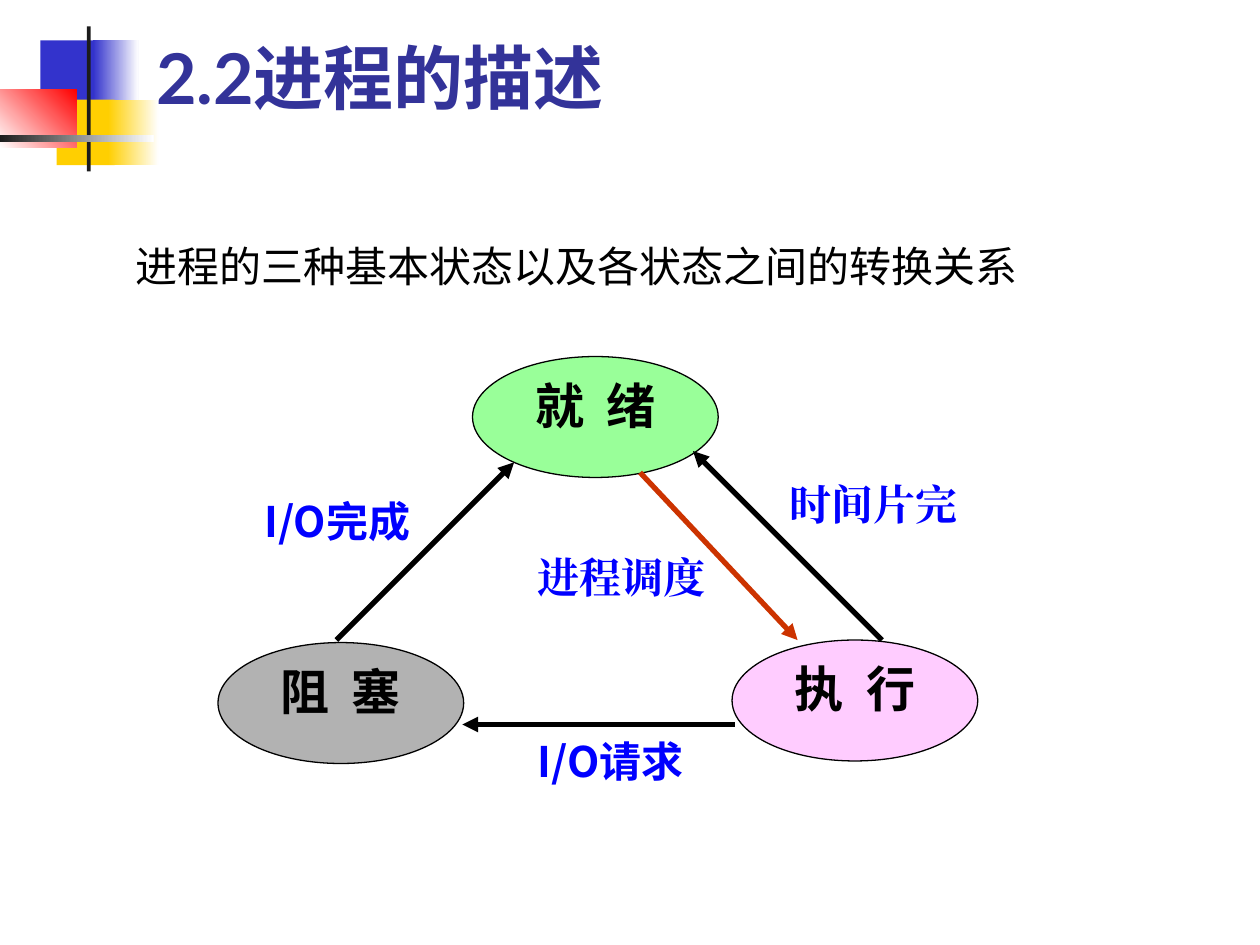
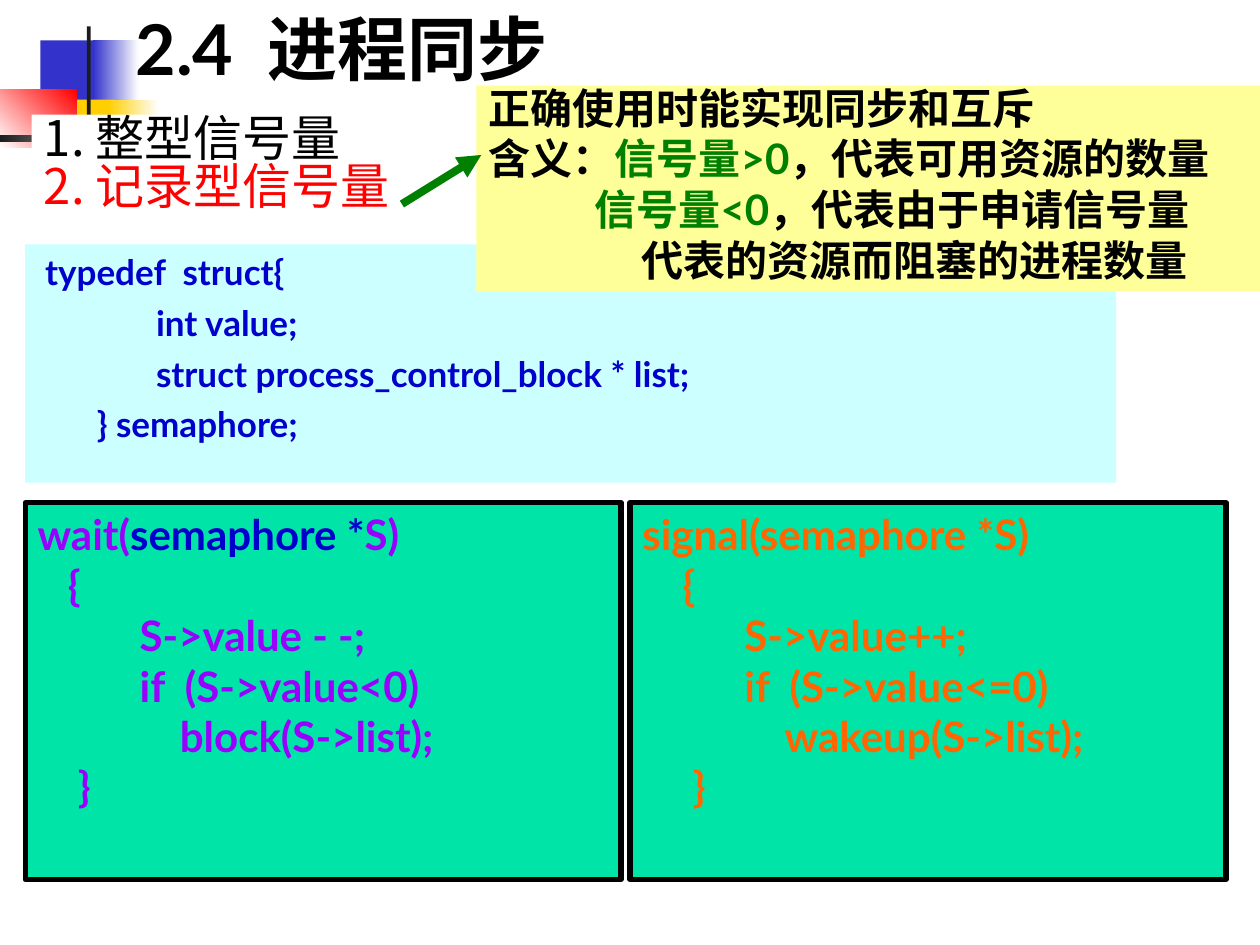
from dataclasses import dataclass

from lxml import etree
from pptx import Presentation
from pptx import util as u
from pptx.dml.color import RGBColor
from pptx.enum import shapes, text
from pptx.oxml import ns


@dataclass(frozen=True)
class Theme:
    latin: str = "Lato"
    chinese: str = "Noto Sans CJK SC"
    serif: str = "Times New Roman"
    title_size: int = 40
    state_size: int = 28
    body_size: int = 24
    code_size: int = 20
    black: str = "000000"
    white: str = "FFFFFF"
    title_blue: str = "333399"
    label_blue: str = "0000FF"
    code_blue: str = "0000CC"
    band_blue: str = "3333CC"
    band_yellow: str = "FFCF01"
    band_dark: str = "1C1C1C"
    red: str = "FF0000"
    green: str = "008000"
    rust: str = "CC3300"
    purple: str = "9900FF"
    orange: str = "FF6600"
    ready: str = "99FF99"
    running: str = "FFCCFF"
    blocked: str = "B2B2B2"
    panel: str = "00E4A8"
    struct_fill: str = "CCFFFF"
    note_fill: str = "FFFF99"


THEME = Theme()


def rgb(value):
    return RGBColor.from_string(value)


@dataclass
class Line:
    """One paragraph: (text, colour) runs and a left indent in inches."""
    runs: list
    indent: float = 0


class Deck:
    def __init__(self, theme):
        self.theme = theme
        self.presentation = Presentation()
        self.presentation.slide_width = u.Inches(10)
        self.presentation.slide_height = u.Inches(7.5)
        self.slide = None

    def new_slide(self):
        layout = self.presentation.slide_layouts[6]
        self.slide = self.presentation.slides.add_slide(layout)
        self.bands()

    def bands(self):
        """Draw the coloured corner that every slide carries."""
        t = self.theme
        self.box((0.32, 0.32, 0.48, 0.52), t.band_blue)
        self.fade((0.74, 0.32, 0.36, 0.52), t.band_blue, t.white)
        self.box((0.45, 0.79, 0.46, 0.52), t.band_yellow)
        self.fade((0.86, 0.79, 0.4, 0.52), t.band_yellow, t.white)
        self.fade((0, 0.71, 0.61, 0.46), t.white, t.red, angle=45)
        self.box((0.69, 0.21, 0.03, 1.15), t.band_dark)
        self.fade((0, 1.07, 1.22, 0.06), t.band_dark, t.white)

    def box(self, place, fill, line=None, width=0.75,
            kind=shapes.MSO_SHAPE.RECTANGLE):
        shape = self.slide.shapes.add_shape(kind, *map(u.Inches, place))
        shape.shadow.inherit = False
        shape.fill.solid()
        shape.fill.fore_color.rgb = rgb(fill)
        if line:
            shape.line.color.rgb = rgb(line)
            shape.line.width = u.Pt(width)
        else:
            shape.line.fill.background()
        return shape

    def fade(self, place, start, end, angle=0):
        fill = self.box(place, start).fill
        fill.gradient()
        fill.gradient_angle = angle
        for stop, colour in zip(fill.gradient_stops, (start, end)):
            stop.color.rgb = rgb(colour)

    def add_lines(self, shape, lines, size, font=None, bold=True, align="LEFT",
                  anchor="TOP", top=0.05, before=0, spacing=None, wrap=True):
        frame = shape.text_frame
        frame.word_wrap = wrap
        frame.auto_size = text.MSO_AUTO_SIZE.NONE
        frame.vertical_anchor = text.MSO_ANCHOR[anchor]
        frame.margin_left = frame.margin_right = u.Inches(0.1)
        frame.margin_top, frame.margin_bottom = u.Inches(top), u.Inches(0.05)
        for index, line in enumerate(lines):
            paragraph = frame.add_paragraph() if index else frame.paragraphs[0]
            paragraph.alignment = text.PP_ALIGN[align]
            paragraph.space_before = u.Pt(before)
            if spacing:
                paragraph.line_spacing = spacing
            if line.indent:
                paragraph._p.get_or_add_pPr().set("marL", str(u.Inches(line.indent)))
            for words, colour in line.runs:
                self.add_run(paragraph, words, colour, size, font, bold)

    def add_run(self, paragraph, words, colour, size, font, bold):
        run = paragraph.add_run()
        run.text = words
        run.font.size = u.Pt(size)
        run.font.bold = bold
        run.font.color.rgb = rgb(colour)
        run.font.name = font or self.theme.latin
        east_asian = etree.SubElement(run._r.get_or_add_rPr(), ns.qn("a:ea"))
        east_asian.set("typeface", run.font.name)

    def label(self, place, words, colour, size=None, **style):
        shape = self.slide.shapes.add_textbox(*map(u.Inches, place))
        self.add_lines(shape, [Line([(words, colour)])],
                       size or self.theme.body_size, **style)

    def title(self, place, words, colour):
        self.label(place, words, colour, self.theme.title_size, anchor="BOTTOM")

    def state(self, left, top, name, fill):
        t = self.theme
        oval = self.box((left, top, 1.95, 0.96), fill, t.black,
                        kind=shapes.MSO_SHAPE.OVAL)
        self.add_lines(oval, [Line([(name, t.black)])], t.state_size, t.chinese,
                       align="CENTER", top=0.01)

    def arrow(self, start, end, colour, width=3):
        connector = self.slide.shapes.add_connector(
            shapes.MSO_CONNECTOR.STRAIGHT, *map(u.Inches, (*start, *end)))
        connector.line.color.rgb = rgb(colour)
        connector.line.width = u.Pt(width)
        head = etree.SubElement(connector.line._get_or_add_ln(), ns.qn("a:tailEnd"))
        head.set("type", "triangle")
        etree.SubElement(connector._element.spPr, ns.qn("a:effectLst"))

    def code_panel(self, left, lines):
        t = self.theme
        panel = self.box((left, 3.99, 4.73, 2.99), t.panel, t.black, 3)
        self.add_lines(panel, lines, t.body_size)


def code(colour, *rows):
    """Turn (indent, text) rows into lines of one colour."""
    return [Line([(words, colour)], indent) for indent, words in rows]


def process_states(deck):
    t = deck.theme
    deck.new_slide()
    deck.state(5.81, 5.08, "执  行", t.running)
    deck.state(1.73, 5.1, "阻  塞", t.blocked)
    deck.state(3.75, 2.83, "就  绪", t.ready)
    for start, end, colour in (
        ((5.83, 5.75), (3.67, 5.75), t.black),
        ((2.67, 5.08), (4.08, 3.67), t.black),
        ((7, 5.08), (5.5, 3.58), t.black),
        ((5.08, 3.75), (6.33, 5.08), t.rust),
    ):
        deck.arrow(start, end, colour)
    for left, top, width, words, font, inset in (
        (6.17, 3.75, 1.75, "时间片完", t.serif, 0.05),
        (4.17, 5.83, 1.5, "I/O请求", t.chinese, 0.01),
        (4.17, 4.33, 1.67, "进程调度", t.serif, 0.05),
        (2, 3.92, 1.5, "I/O完成", t.chinese, 0.01),
    ):
        deck.label((left, top, width, 0.5), words, t.label_blue, font=font, top=inset)
    deck.label((0.98, 1.86, 7.83, 0.5),
               "进程的三种基本状态以及各状态之间的转换关系", t.black, bold=False)
    deck.title((1.14, 0.21, 8.52, 0.78), "2.2进程的描述", t.title_blue)


def process_synchronization(deck):
    t = deck.theme
    deck.new_slide()
    deck.title((0.98, 0.21, 8.52, 0.55), "2.4  进程同步", t.black)

    wait_head = Line([("wait(", t.purple), ("semaphore *", t.code_blue),
                      ("S)", t.purple)])
    deck.code_panel(0.2, [wait_head] + code(
        t.purple, (0.24, "{"), (0.81, "S->value - -;"),
        (0.81, "if  (S->value<0)"), (1.13, "block(S->list);"), (0.32, "}")))
    deck.code_panel(5, code(
        t.orange, (0, "signal(semaphore *S)"), (0.32, "{"),
        (0.81, "S->value++;"), (0.81, "if  (S->value<=0)"),
        (1.13, "wakeup(S->list);"), (0.4, "}")))

    kinds = deck.box((0.25, 0.91, 3.05, 0.95), t.white)
    deck.add_lines(kinds, [Line([("1. 整型信号量", t.black)]),
                           Line([("2. 记录型信号量", t.red)])],
                   t.state_size, t.chinese, bold=False, top=0.03, before=1,
                   spacing=0.8, wrap=False)

    struct = deck.box((0.2, 1.94, 8.66, 1.89), t.struct_fill)
    deck.add_lines(struct, code(
        t.code_blue, (0.06, "typedef  struct{"), (0.94, "int value;"),
        (0.94, "struct process_control_block * list;"),
        (0.47, "} semaphore;")), t.code_size, before=5)

    note = deck.box((3.78, 0.68, 6.22, 1.63), t.note_fill)
    deck.add_lines(note, [
        Line([("正确使用时能实现同步和互斥", t.black)]),
        Line([("含义：", t.black), ("信号量>0", t.green),
              ("，代表可用资源的数量", t.black)]),
        Line([("信号量<0", t.green), ("，代表由于申请信号量", t.black)], 0.84),
        Line([("代表的资源而阻塞的进程数量", t.black)], 1.21),
    ], t.body_size, before=6, spacing=0.8)
    deck.arrow((3.19, 1.62), (3.82, 1.23), t.green, 4.5)


def main():
    deck = Deck(THEME)
    process_states(deck)
    process_synchronization(deck)
    deck.presentation.save("out.pptx")


if __name__ == "__main__":
    main()
